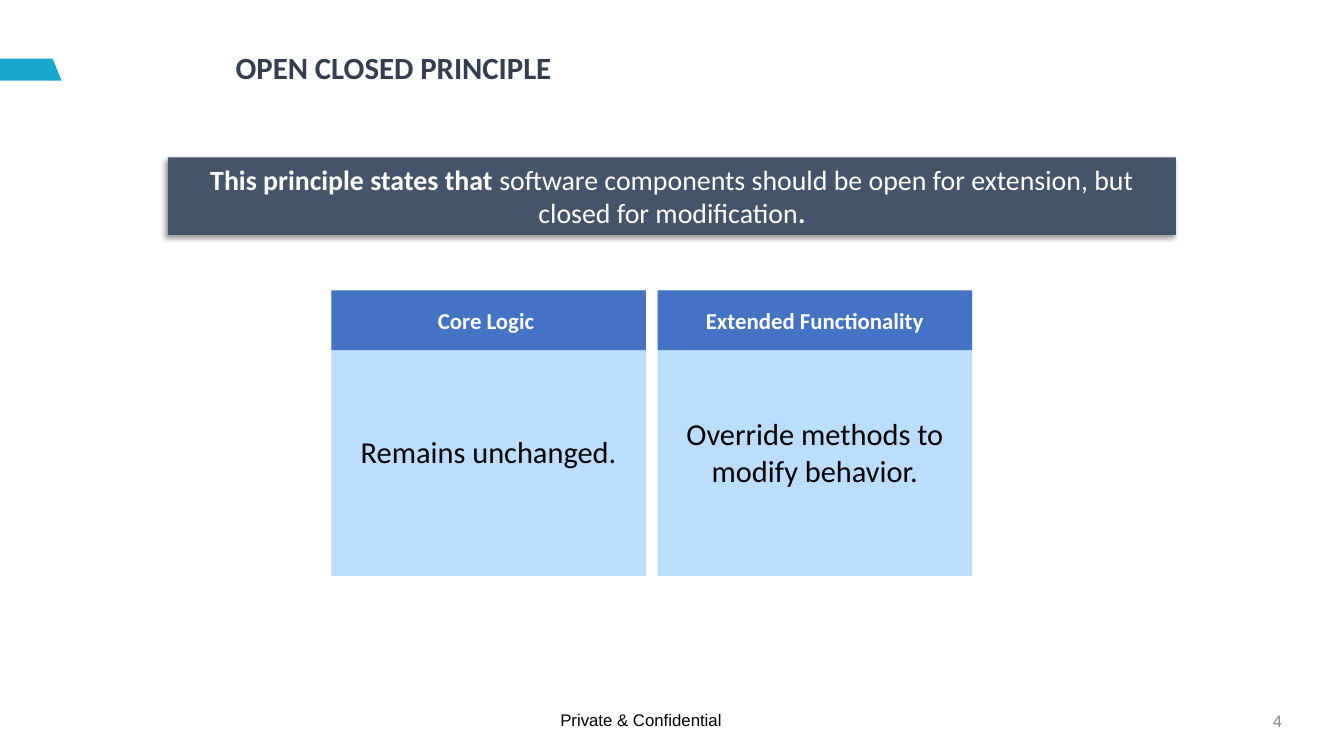
from lxml.etree import SubElement
from pptx import Presentation
from pptx.dml.color import RGBColor
from pptx.enum.shapes import MSO_SHAPE
from pptx.enum.text import MSO_ANCHOR, PP_ALIGN
from pptx.oxml.ns import qn
from pptx.util import Pt

WHITE = "FFFFFF"
BLACK = "000000"


def color(hex_value):
    return RGBColor.from_string(hex_value)


def set_all(target, values):
    for name, value in values.items():
        setattr(target, name, value)


def write(shape, runs, size, ink, font="Calibri", align=PP_ALIGN.CENTER,
          anchor=MSO_ANCHOR.MIDDLE, wrap=True, top=3.6, paragraph_format=None):
    frame = shape.text_frame
    set_all(frame, {
        "word_wrap": wrap, "vertical_anchor": anchor,
        "margin_left": Pt(7.2), "margin_right": Pt(7.2),
        "margin_top": Pt(top), "margin_bottom": Pt(3.6),
    })
    paragraph = frame.paragraphs[0]
    set_all(paragraph, {"alignment": align, **(paragraph_format or {})})
    for words, bold in runs:
        run = paragraph.add_run()
        run.text = words
        set_all(run.font, {"name": font, "size": Pt(size), "bold": bold})
        run.font.color.rgb = color(ink)


def paint(shape, fill):
    shape.shadow.inherit = False
    shape.fill.solid()
    shape.fill.fore_color.rgb = color(fill)
    shape.line.fill.background()
    return shape


def add_block(slide, left, top, width, height, fill):
    return paint(slide.shapes.add_shape(
        MSO_SHAPE.RECTANGLE, Pt(left), Pt(top), Pt(width), Pt(height)), fill)


def add_label(slide, left, top, width, height, words, size, ink, bold=False, **style):
    label = slide.shapes.add_textbox(Pt(left), Pt(top), Pt(width), Pt(height))
    write(label, [(words, bold)], size, ink, **style)


def add_accent(slide):
    corners = [(0, 41.8), (0, 57.6), (44, 57.6), (37.6, 41.8)]
    points = [(Pt(x), Pt(y)) for x, y in corners]
    builder = slide.shapes.build_freeform(*points[0])
    builder.add_line_segments(points[1:], close=True)
    paint(builder.convert_to_shape(), "19A7CE")


def add_shadow(shape):
    effects = shape._element.spPr.find(qn("a:effectLst"))
    shadow = SubElement(effects, qn("a:outerShdw"), {
        "blurRad": str(Pt(4)), "dist": str(Pt(3)), "dir": str(135 * 60000),
        "algn": "tr", "rotWithShape": "0"})
    tint = SubElement(shadow, qn("a:srgbClr"), val=BLACK)
    SubElement(tint, qn("a:alpha"), val="40000")


def add_statement(slide):
    statement = add_block(slide, 120, 112.4, 720, 55.4, "44546A")
    add_shadow(statement)
    write(statement, [
        ("This principle states that\u00a0", True),
        ("software components should be open for extension, "
         "but closed for modification", False),
        (".", True),
    ], 19.9, WHITE, anchor=MSO_ANCHOR.TOP, paragraph_format={"space_after": Pt(7.5)})


def add_card(slide, left, heading, detail):
    top, width = 207.5, 224.7
    body = add_block(slide, left, top, width, 203.8, "BBDDFF")
    write(body, [(detail, False)], 21.7, BLACK, top=30)
    header = add_block(slide, left, top, width, 42.6, "4472C4")
    write(header, [(heading, True)], 16.3, WHITE)


def main():
    presentation = Presentation()
    set_all(presentation, {"slide_width": Pt(960), "slide_height": Pt(540)})
    slide = presentation.slides.add_slide(presentation.slide_layouts[6])

    add_accent(slide)
    add_label(slide, 161.3, 26.6, 576, 46.8, "OPEN CLOSED PRINCIPLE", 22, "333F50",
              bold=True, align=PP_ALIGN.LEFT, paragraph_format={"line_spacing": 0.9})
    add_statement(slide)

    cards = [("Core Logic\u00a0", "Remains unchanged."),
             ("Extended Functionality", "Override methods to modify behavior.")]
    for column, (heading, detail) in enumerate(cards):
        add_card(slide, 236.7 + column * 233, heading, detail)

    add_label(slide, 393.1, 503.3, 130.3, 21.8, "Private & Confidential", 12, BLACK,
              font="Arial", align=PP_ALIGN.LEFT, anchor=MSO_ANCHOR.TOP, wrap=False)
    add_label(slide, 707, 500.4, 216, 28.8, "4", 12, "8C8C8C",
              font="Arial", align=PP_ALIGN.RIGHT)
    presentation.save("out.pptx")


main()
